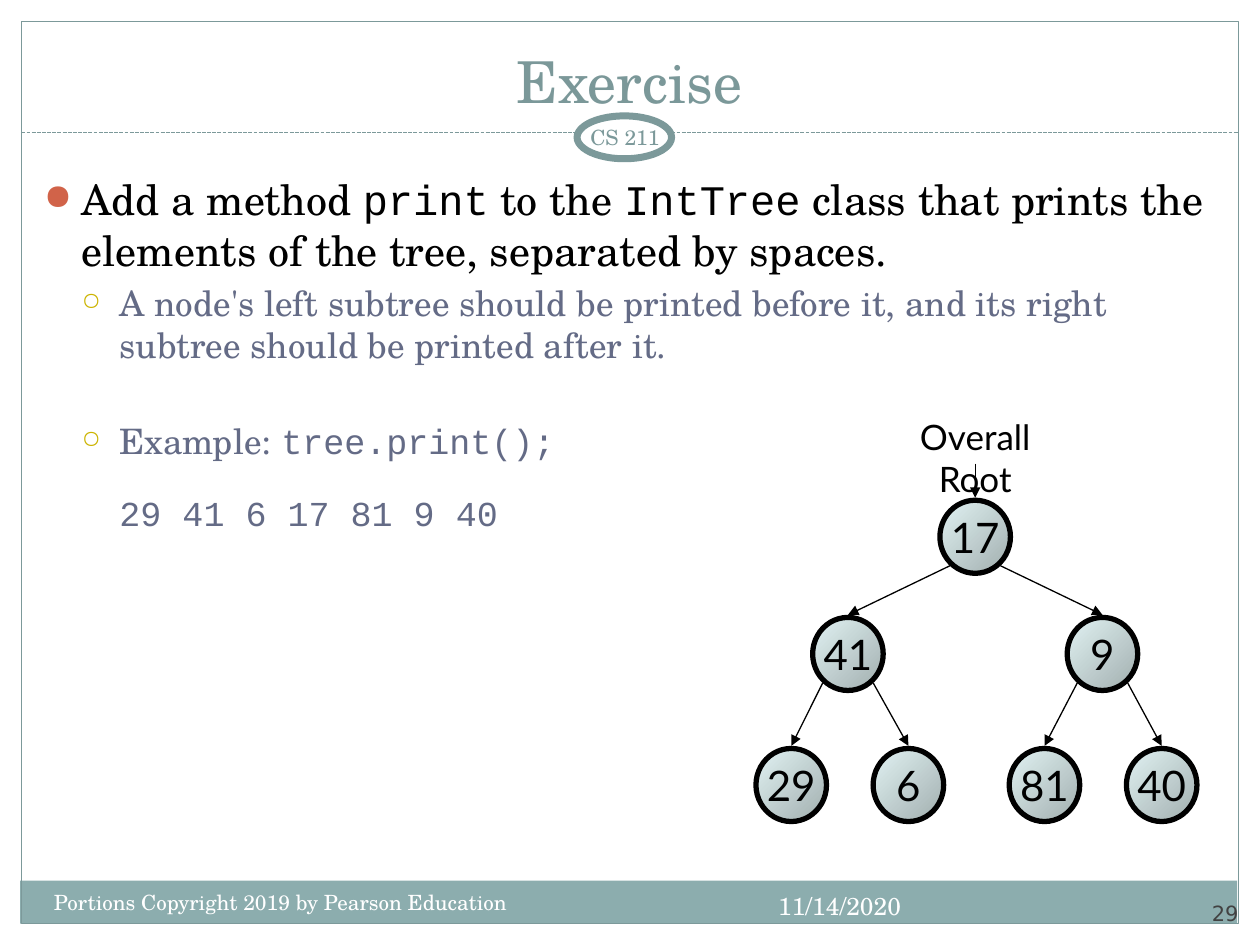
"""Build the binary tree print exercise slide."""
from lxml.etree import SubElement
from pptx import Presentation
from pptx.dml.color import RGBColor
from pptx.enum.dml import MSO_LINE
from pptx.enum.shapes import MSO_CONNECTOR, MSO_SHAPE
from pptx.enum.text import MSO_ANCHOR as Anchor, PP_ALIGN as Align
from pptx.oxml.ns import qn
from pptx.util import Inches, Pt

WHITE = RGBColor(0xFF, 0xFF, 0xFF)
BLACK = RGBColor(0, 0, 0)
TEAL = RGBColor(0x7C, 0x99, 0x9A)
TITLE_TEAL = RGBColor(0x7B, 0x98, 0x99)
FOOTER_TEAL = RGBColor(0x8C, 0xAD, 0xAE)
SLATE = RGBColor(0x64, 0x6B, 0x86)
GREY = RGBColor(0x42, 0x42, 0x42)
RED = RGBColor(0xD1, 0x63, 0x49)
YELLOW = RGBColor(0xCC, 0xB4, 0x00)
NODE_LIGHT = RGBColor(0xE1, 0xF2, 0xF3)
NODE_DARK = RGBColor(0xA2, 0xAF, 0xAF)
SERIF, MONO, SANS, NUMBER = "TeX Gyre Schola", "Courier New", "Lato", "DejaVu Sans"

DISC = ("●", RED, 85)
RING = ("○", YELLOW, 70)
BODY = [
    (0, DISC, 0, [("Add a method ", SERIF), ("print", MONO), (" to the ", SERIF), ("IntTree", MONO),
                  (" class that prints the elements of the tree, separated by spaces.", SERIF)]),
    (1, RING, 4, [("A node's left subtree should be printed before it, "
                   "and its right subtree should be printed after it.", SERIF)]),
    (1, RING, 31, [("Example: ", SERIF), ("tree.print();", MONO)]),
    (1, None, 17, [("29 41 6 17 81 9 40", MONO)]),
]
LEVELS = [(0.3, 24, BLACK), (0.6, 20, SLATE)]
HANGING = 0.3

NODES = {17: (7.74, 3.97), 41: (6.73, 4.9), 9: (8.75, 4.9),
         29: (6.28, 5.94), 6: (7.21, 5.94), 81: (8.29, 5.94), 40: (9.22, 5.94)}
CHILDREN = {17: (41, 9), 41: (29, 6), 9: (81, 40)}
NODE_WIDTH, NODE_HEIGHT = 0.56, 0.58

LABELS = [
    ("Exercise", (0.33, 0.25, 9.33, 0.71), 33, SERIF, TITLE_TEAL, Align.CENTER, Anchor.BOTTOM, (0.1, 0.05)),
    ("CS 211", (4.5, 0.92, 0.92, 0.33), 12, SERIF, TEAL, Align.CENTER, Anchor.MIDDLE, (0.05, 0.05)),
    ("Overall Root", (6.88, 3.25, 1.72, 0.44), 20, SANS, BLACK, Align.CENTER, Anchor.TOP, (0.1, 0.05)),
    ("11/14/2020", (5.59, 7.02, 1.66, 0.4), 14, SERIF, WHITE, Align.RIGHT, Anchor.TOP, (0.1, 0.05)),
    ("Portions Copyright 2019 by Pearson Education", (0.33, 7.01, 4.08, 0.4), 12, SERIF, WHITE,
     Align.LEFT, Anchor.TOP, (0.1, 0.05)),
    ("29", (9, 6.95, 0.83, 0.4), 12, NUMBER, GREY, Align.RIGHT, Anchor.BOTTOM, (0, 0)),
]


def set_font(font, size, color, name=None):
    font.size = Pt(size)
    font.color.rgb = color
    if name:
        font.name = name


def add_shape(page, kind, place, fill=None, line=None, width=0.75):
    shape = page.shapes.add_shape(kind, *map(Inches, place))
    shape.shadow.inherit = False
    if fill is None:
        shape.fill.background()
    else:
        shape.fill.solid()
        shape.fill.fore_color.rgb = fill
    if line is None:
        shape.line.fill.background()
    else:
        shape.line.color.rgb = line
        shape.line.width = Pt(width)
    return shape


def add_line(page, start, end, color, arrow=False):
    line = page.shapes.add_connector(MSO_CONNECTOR.STRAIGHT, *map(Inches, (*start, *end)))
    line.line.color.rgb = color
    line.line.width = Pt(0.75)
    if arrow:
        SubElement(line.line._get_or_add_ln(), qn("a:tailEnd"), type="triangle")
    SubElement(line._element.spPr, qn("a:effectLst"))
    return line


def add_label(page, text, place, size, name, color, align, anchor, inset):
    box = page.shapes.add_textbox(*map(Inches, place))
    frame = box.text_frame
    frame.word_wrap = True
    frame.vertical_anchor = anchor
    frame.margin_left = frame.margin_right = Inches(inset[0])
    frame.margin_top = frame.margin_bottom = Inches(inset[1])
    para = frame.paragraphs[0]
    para.text = text
    para.alignment = align
    set_font(para.font, size, color, name)


def add_bullet(para, indent, bullet):
    props = para._p.get_or_add_pPr()
    props.set("marL", str(Inches(indent)))
    props.set("indent", str(-Inches(HANGING) if bullet else 0))
    if bullet is None:
        SubElement(props, qn("a:buNone"))
        return
    mark, color, percent = bullet
    SubElement(SubElement(props, qn("a:buClr")), qn("a:srgbClr"), val=str(color))
    SubElement(props, qn("a:buSzPct"), val=str(percent * 1000))
    SubElement(props, qn("a:buChar"), char=mark)


def add_body(page):
    frame = page.shapes.add_textbox(*map(Inches, (0.25, 1.33, 9.5, 5.58))).text_frame
    frame.word_wrap = True
    for index, (level, bullet, gap, spans) in enumerate(BODY):
        para = frame.add_paragraph() if index else frame.paragraphs[0]
        indent, size, color = LEVELS[level]
        para.level = level
        add_bullet(para, indent, bullet)
        para.space_before = Pt(gap)
        set_font(para.font, size, color)
        for text, name in spans:
            span = para.add_run()
            span.text = text
            span.font.name = name


def add_node(page, value, center, top):
    place = (center - NODE_WIDTH / 2, top, NODE_WIDTH, NODE_HEIGHT)
    node = add_shape(page, MSO_SHAPE.OVAL, place, line=BLACK, width=3)
    node.fill.gradient()
    node.fill.gradient_angle = 315
    for stop, color in zip(node.fill.gradient_stops, (NODE_LIGHT, NODE_DARK)):
        stop.color.rgb = color
    frame = node.text_frame
    frame.word_wrap = False
    frame.vertical_anchor = Anchor.MIDDLE
    para = frame.paragraphs[0]
    para.text = str(value)
    para.alignment = Align.CENTER
    set_font(para.font, 24, BLACK, SANS)


def add_tree(page):
    for value, (center, top) in NODES.items():
        add_node(page, value, center, top)
    for parent, children in CHILDREN.items():
        center, top = NODES[parent]
        for side, child in zip((-0.2, 0.2), children):
            child_center, child_top = NODES[child]
            add_line(page, (center + side, top + 0.52), (child_center, child_top - 0.02), BLACK, True)
    center, top = NODES[17]
    add_line(page, (center, 3.68), (center, top - 0.02), BLACK, True)


def main():
    deck = Presentation()
    deck.slide_width, deck.slide_height = Inches(10), Inches(7.5)
    page = deck.slides.add_slide(deck.slide_layouts[6])
    add_shape(page, MSO_SHAPE.RECTANGLE, (0.16, 6.99, 9.66, 0.34), FOOTER_TEAL)
    add_shape(page, MSO_SHAPE.RECTANGLE, (0.17, 0.17, 9.66, 7.16), line=TEAL)
    rule = add_line(page, (0.17, 1.05), (9.83, 1.05), TEAL)
    rule.line.dash_style = MSO_LINE.SQUARE_DOT
    add_shape(page, MSO_SHAPE.OVAL, (4.67, 1.05, 0.67, 0.67), WHITE)
    add_shape(page, MSO_SHAPE.OVAL, (4.58, 0.92, 0.75, 0.34), WHITE, TEAL, 4)
    add_body(page)
    add_tree(page)
    for label in LABELS:
        add_label(page, *label)
    deck.save("out.pptx")


if __name__ == "__main__":
    main()
